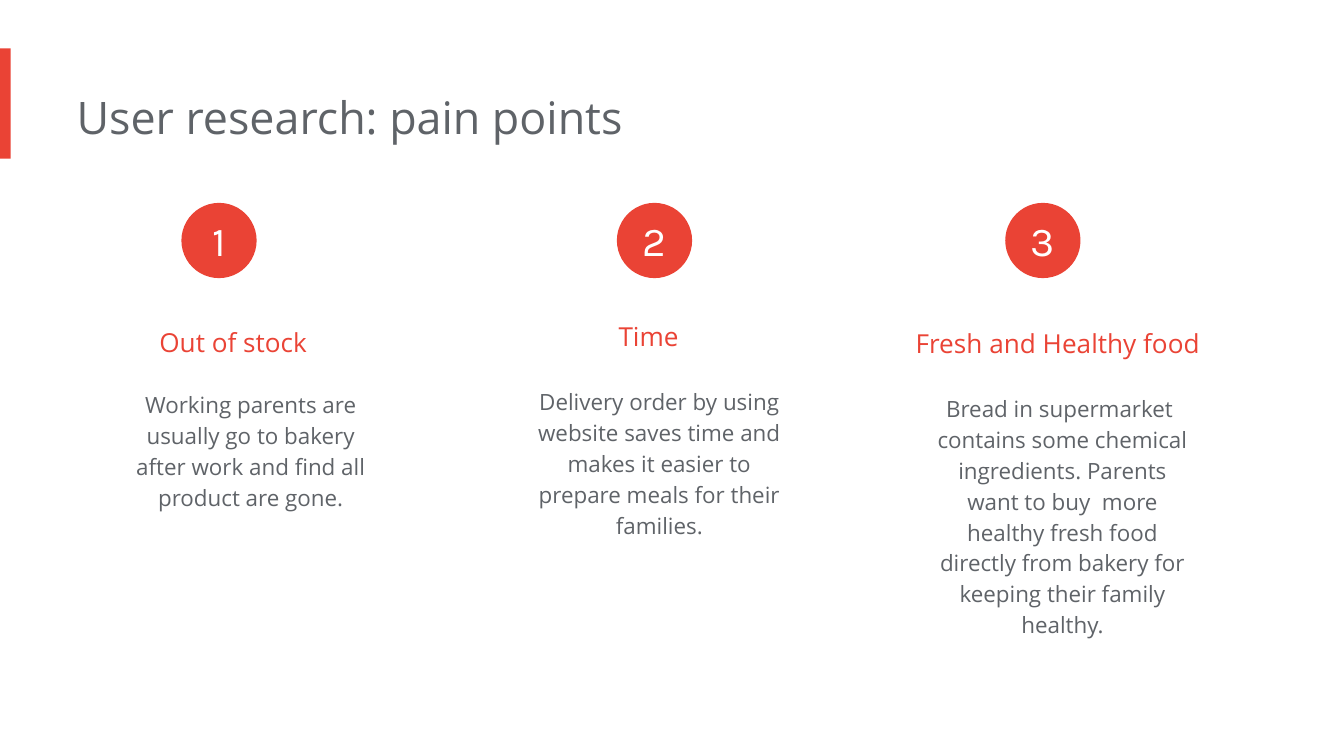
from pptx import Presentation
from pptx.dml.color import RGBColor
from pptx.enum.shapes import MSO_SHAPE
from pptx.enum.text import MSO_ANCHOR, PP_ALIGN
from pptx.util import Inches, Pt

RECT, OVAL = MSO_SHAPE.RECTANGLE, MSO_SHAPE.OVAL
TOP, MIDDLE = MSO_ANCHOR.TOP, MSO_ANCHOR.MIDDLE
LEFT, CENTER = PP_ALIGN.LEFT, PP_ALIGN.CENTER
RED, GRAY, WHITE = "EA4335", "5F6368", "FFFFFF"

TITLE = "User research: pain points"
POINTS = [
    {"disc": 1.35, "head": (0.76, 2.21, 2.05, 0.56), "body": (0.89, 2.78, 2.05, 1.13),
     "name": "Out of stock",
     "text": "Working parents are usually go to bakery after work and find all product are gone."},
    {"disc": 4.59, "head": (3.85, 2.17, 2.05, 0.56), "body": (3.93, 2.76, 2.05, 1.36),
     "name": "Time",
     "text": "Delivery order by using website saves time and makes it easier to prepare meals for their families."},
    {"disc": 7.48, "head": (6.59, 2.22, 2.66, 0.56), "body": (6.93, 2.81, 2.05, 2.06),
     "name": "Fresh and Healthy food",
     "text": "Bread in supermarket  contains some chemical ingredients. Parents want to buy  more healthy fresh food directly from bakery for keeping their family healthy."},
]
DISC_TOP, DISC = 1.51, 0.56
INSET = (0, 0.1, 0.1, 0.1)

STYLES = {
    "title": {"size": 24, "name": "Open Sans", "color": GRAY, "align": LEFT, "line": 1.0},
    "head": {"size": 14, "name": "Open Sans", "color": RED, "align": CENTER, "line": 1.5},
    "body": {"size": 12, "name": "Open Sans", "color": GRAY, "align": CENTER, "line": 1.15},
    "disc": {"size": 22, "name": "Karla", "color": WHITE, "align": CENTER, "line": 1.0},
}


def paint(target, color):
    target.rgb = RGBColor.from_string(color)


def write(shape, text, kind, inset=INSET, anchor=TOP):
    style = STYLES[kind]
    frame = shape.text_frame
    sides = ("left", "top", "right", "bottom")
    values = {f"margin_{side}": Inches(gap) for side, gap in zip(sides, inset)}
    values.update(word_wrap=True, vertical_anchor=anchor)
    for key, value in values.items():
        setattr(frame, key, value)
    para = frame.paragraphs[0]
    para.alignment, para.line_spacing = style["align"], style["line"]
    run = para.add_run()
    run.text = text
    for key, value in {"size": Pt(style["size"]), "name": style["name"]}.items():
        setattr(run.font, key, value)
    paint(run.font.color, style["color"])


def add_text(box, text, kind):
    write(slide.shapes.add_textbox(*map(Inches, box)), text, kind)


def add_block(form, box):
    shape = slide.shapes.add_shape(form, *map(Inches, box))
    shape.shadow.inherit = False
    shape.fill.solid()
    paint(shape.fill.fore_color, RED)
    shape.line.fill.background()
    return shape


deck = Presentation()
deck.slide_width = Inches(10)
deck.slide_height = deck.slide_width * 9 // 16
slide = deck.slides.add_slide(deck.slide_layouts[6])

add_block(RECT, (0, 0.36, 0.08, 0.82))
add_text((0.57, 0.57, 6.73, 0.61), TITLE, "title")
for point in POINTS:
    add_text(point["head"], point["name"], "head")
    add_text(point["body"], point["text"], "body")
for rank, point in enumerate(POINTS, 1):
    disc = add_block(OVAL, (point["disc"], DISC_TOP, DISC, DISC))
    write(disc, str(rank), "disc", (0, 0, 0, 0), MIDDLE)

deck.save("out.pptx")
